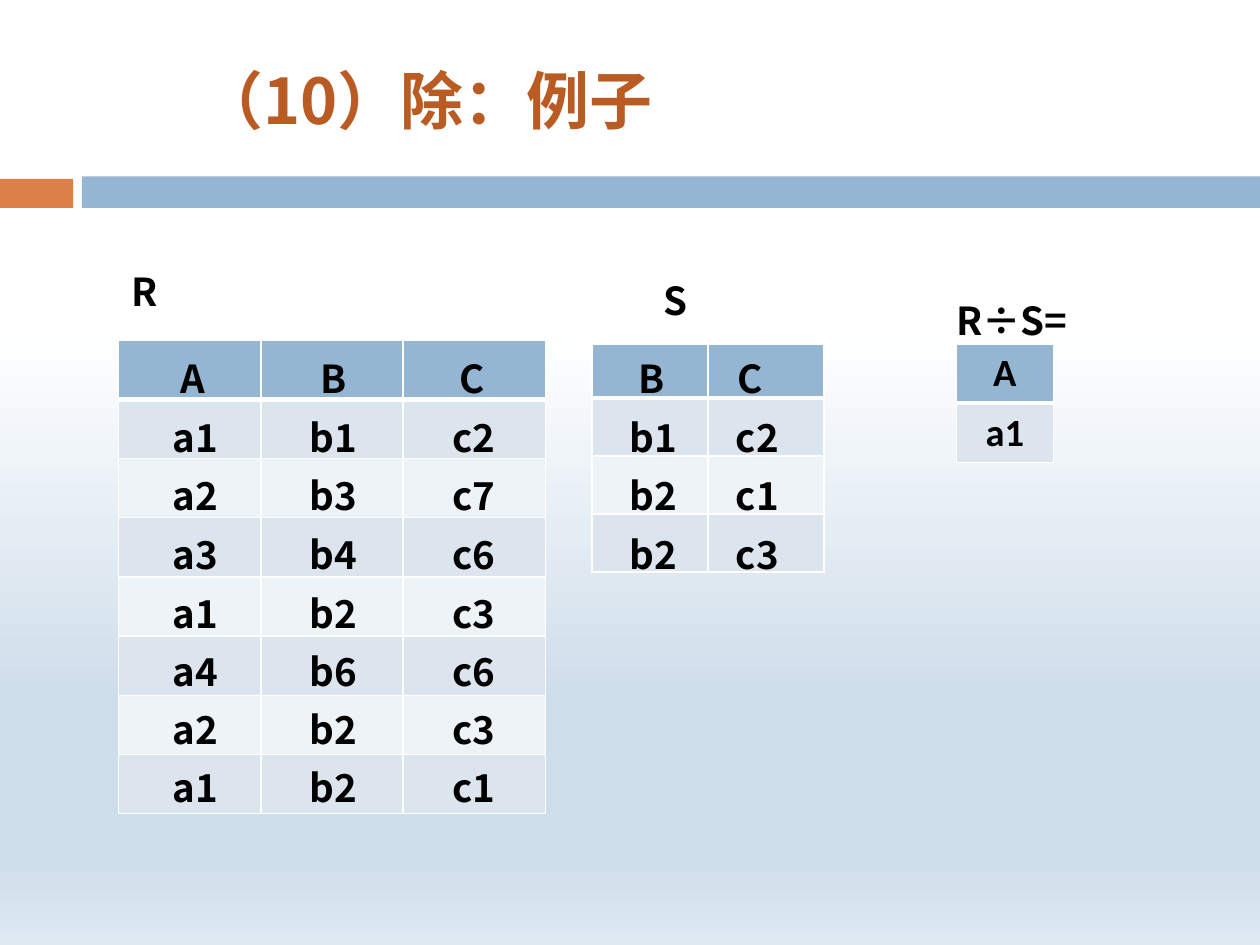
"""Build the relational division example slide."""
import pptx
import pptx.util
import pptx.dml.color
import pptx.enum.shapes
import pptx.enum.text
import pptx.oxml
import pptx.oxml.ns

Inches, Pt = pptx.util.Inches, pptx.util.Pt
RGBColor = pptx.dml.color.RGBColor

WHITE = RGBColor(0xFF, 0xFF, 0xFF)
BLACK = RGBColor(0, 0, 0)
BLUE = RGBColor(0x94, 0xB6, 0xD2)
ORANGE = RGBColor(0xDD, 0x80, 0x47)
RUST = RGBColor(0xB9, 0x5B, 0x22)
BANDS = [RGBColor(0xEE, 0xF3, 0xF7), RGBColor(0xDC, 0xE5, 0xEE)]
SKY = RGBColor(0xCF, 0xDE, 0xEB)
PALE_SKY = RGBColor(0xDF, 0xE9, 0xF2)
FONT = "Noto Sans CJK SC"
ROW_GAPS = [0, 6.2, 6.7, 6.7, 6.2, 6.7, 6.2]
NAMESPACE = pptx.oxml.ns.nsdecls("a")


def add_text(left, top, width, height, lines, spacing=26.9, size=22, color=BLACK):
    box = page.shapes.add_textbox(Inches(left), Inches(top), Inches(width), Inches(height))
    frame = box.text_frame
    frame.margin_left = frame.margin_right = frame.margin_top = frame.margin_bottom = 0
    frame.word_wrap = True
    frame.text = "\n".join(lines)
    for para, gap in zip(frame.paragraphs, ROW_GAPS):
        para.line_spacing = Pt(spacing) if spacing else None
        para.space_before = Pt(gap)
        for span in para.runs:
            span.font.size, span.font.bold, span.font.name = Pt(size), True, FONT
            span.font.color.rgb = color
            span.font._element.append(
                pptx.oxml.parse_xml(f'<a:ea {NAMESPACE} typeface="{FONT}"/>'))
    return box


def add_grid(left, top, column_width, row_heights, column_count):
    frame = page.shapes.add_table(
        len(row_heights), column_count, Inches(left), Inches(top),
        Inches(column_width * column_count), Inches(sum(row_heights)))
    grid = frame.table
    for column in grid.columns:
        column.width = Inches(column_width)
    for index, height in enumerate(row_heights):
        grid.rows[index].height = Inches(height)
        for cell in grid.rows[index].cells:
            cell.margin_top = cell.margin_bottom = Inches(0.05)
            cell.text_frame.paragraphs[0].font.size = Pt(12)
            cell.fill.solid()
            cell.fill.fore_color.rgb = BANDS[index % 2] if index else BLUE
            weights = {"lnL": 1, "lnR": 1, "lnT": 3 if index == 1 else 1,
                       "lnB": 1 if index else 3}
            for position, (side, weight) in enumerate(weights.items()):
                cell._tc.get_or_add_tcPr().insert(position, pptx.oxml.parse_xml(
                    f'<a:{side} {NAMESPACE} w="{Pt(weight)}"><a:solidFill>'
                    f'<a:srgbClr val="{WHITE}"/></a:solidFill></a:{side}>'))
    return grid


deck = pptx.Presentation()
deck.slide_width, deck.slide_height = Inches(10), Inches(7.5)
page = deck.slides.add_slide(deck.slide_layouts[6])

backdrop = page.background.fill
backdrop.gradient()
backdrop.gradient_angle = 270
stops = page.background._cSld.find(".//" + pptx.oxml.ns.qn("a:gsLst"))
for stop in list(stops):
    stops.remove(stop)
for percent, color in [(35, WHITE), (74, SKY), (91, SKY), (100, PALE_SKY)]:
    stops.append(pptx.oxml.parse_xml(
        f'<a:gs {NAMESPACE} pos="{percent * 1000}"><a:srgbClr val="{color}"/></a:gs>'))

for left, top, width, height, color in [
    (0, 1.35, 10, 0.35, WHITE),
    (0, 1.42, 0.58, 0.23, ORANGE),
    (0.65, 1.4, 9.35, 0.25, BLUE),
]:
    band = page.shapes.add_shape(
        pptx.enum.shapes.MSO_SHAPE.RECTANGLE,
        Inches(left), Inches(top), Inches(width), Inches(height))
    band.shadow.inherit = False
    band.fill.solid()
    band.fill.fore_color.rgb = color
    band.line.fill.background()

add_grid(4.7, 2.73, 0.92, [0.43] + [0.46] * 3, 2)
add_grid(0.94, 2.7, 1.13, [0.47] * 8, 3)

title = add_text(1.49, 0.25, 6.59, 1.08, ["（10）除：例子"], None, 36, RUST)
title.text_frame.margin_left = title.text_frame.margin_right = Inches(0.1)
title.text_frame.vertical_anchor = pptx.enum.text.MSO_ANCHOR.MIDDLE

for left, top, width, name in [
    (1.04, 2.15, 0.39, "R"), (5.27, 2.22, 0.37, "S"), (7.59, 2.38, 1.08, "R÷S="),
]:
    add_text(left, top, width, 0.35, [name], 24.6)

for left, name in [(1.43, "A"), (2.54, "B"), (3.65, "C"), (5.07, "B"), (5.85, "C")]:
    add_text(left, 2.81, 0.35, 0.34, [name])

for left, values in [
    (1.37, ["a1", "a2", "a3", "a1", "a4", "a2", "a1"]),
    (2.46, ["b1", "b3", "b4", "b2", "b6", "b2", "b2"]),
    (3.59, ["c2", "c7", "c6", "c3", "c6", "c3", "c1"]),
]:
    add_text(left, 3.28, 0.49, 3.22, values)

divisor = add_text(5, 3.28, 1.24, 1.28, ["b1\tc2", "b2\tc1", "b2\tc3"])
for para in divisor.text_frame.paragraphs:
    para._p.get_or_add_pPr().append(pptx.oxml.parse_xml(
        f'<a:tabLst {NAMESPACE}><a:tab pos="{Inches(0.84)}" algn="l"/></a:tabLst>'))

quotient = add_grid(7.59, 2.73, 0.77, [0.47] * 2, 1)
for cell, value in zip(quotient.iter_cells(), ["A", "a1"]):
    cell.text_frame.text = value
    para = cell.text_frame.paragraphs[0]
    para.alignment = pptx.enum.text.PP_ALIGN.CENTER
    span = para.runs[0]
    span.font.size, span.font.bold, span.font.name = Pt(22), True, "Calibri"
    span.font.color.rgb = BLACK

deck.save("out.pptx")
